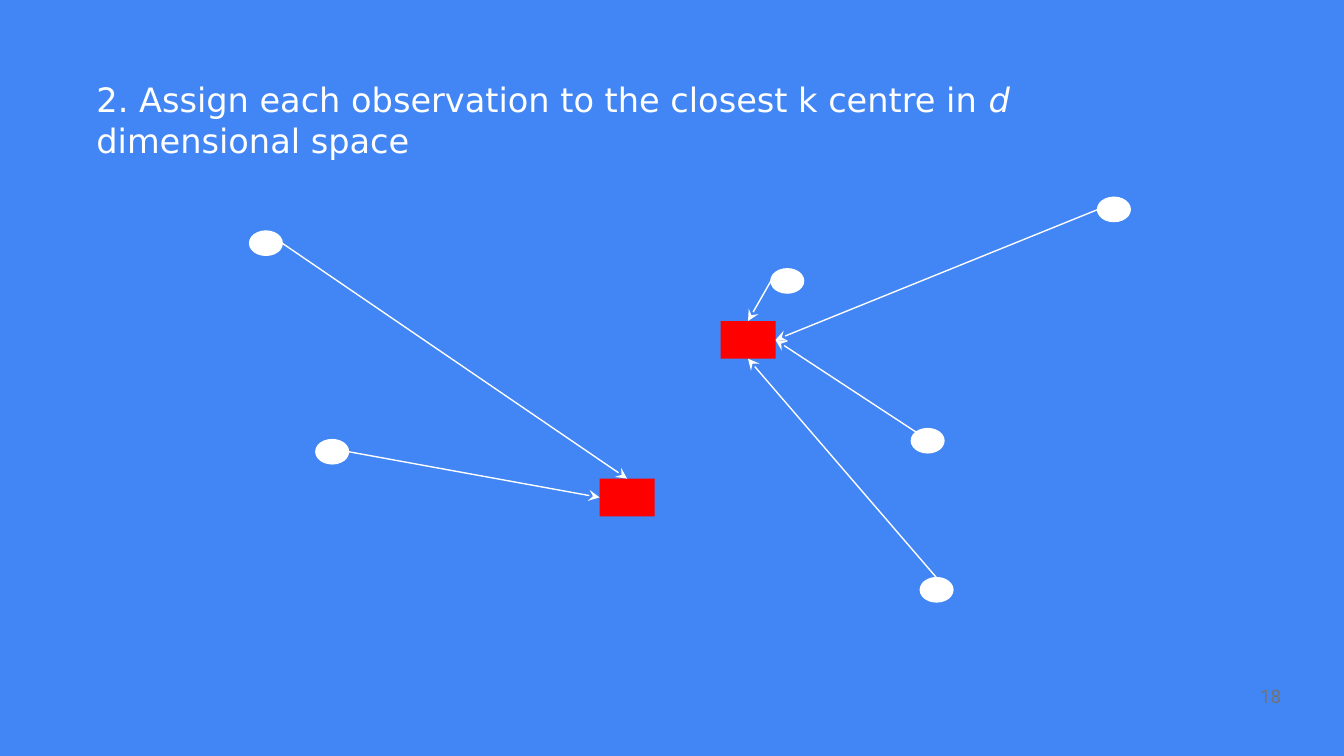
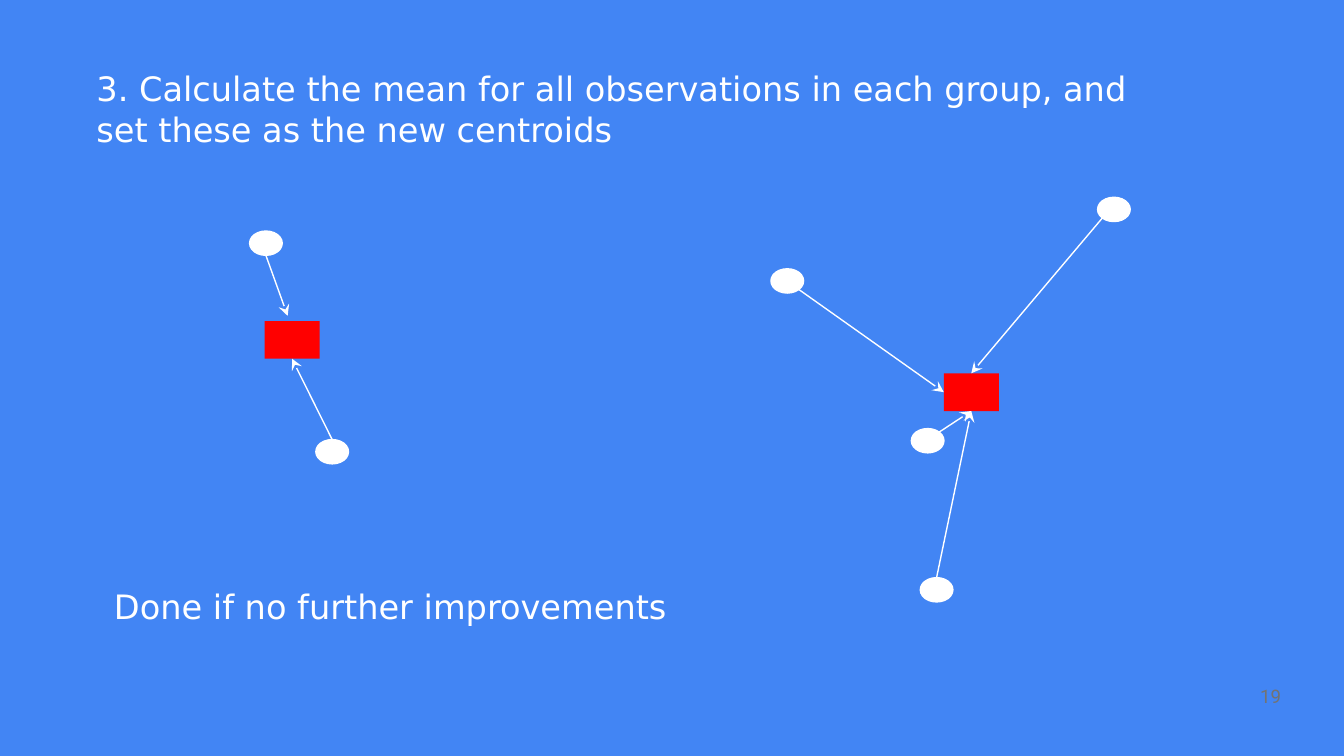
from dataclasses import dataclass

from lxml.etree import SubElement
from pptx import Presentation
from pptx.dml.color import RGBColor
from pptx.enum.shapes import MSO_CONNECTOR as Connector, MSO_SHAPE as Shape
from pptx.enum.text import MSO_ANCHOR as Anchor, PP_ALIGN as Align
from pptx.oxml.ns import qn
from pptx.util import Pt


@dataclass(frozen=True)
class Theme:
    background: RGBColor = RGBColor(0x42, 0x85, 0xF4)
    foreground: RGBColor = RGBColor(0xFF, 0xFF, 0xFF)
    centroid: RGBColor = RGBColor(0xFF, 0x00, 0x00)
    page_number: RGBColor = RGBColor(0x73, 0x73, 0x73)
    text_font: str = "DejaVu Sans"
    number_font: str = "Roboto"
    text_size: float = 18
    number_size: float = 10
    line_width: float = 0.75


THEME = Theme()
SLIDE_SIZE = (720, 405)
OBSERVATION_SIZE = (17.5, 13)
CENTROID_SIZE = (29.5, 20.2)
PAGE_NUMBER_BOX = (657.4, 360.7, 36, 21.6)

# Left and top of each observation; they stay put from step to step.
OBSERVATIONS = {
    "upper left": (133.7, 123.8),
    "lower left": (169.2, 235.5),
    "middle": (413, 144),
    "right": (488.2, 229.6),
    "upper right": (588, 105.7),
    "lower right": (493, 309.5),
}

# Where an arrow leaves an observation, as fractions of its width and height.
EXITS = {
    "top": (0.5, 0), "bottom": (0.5, 1), "right": (1, 0.5), "inner left": (0.2, 0.4),
    "top left": (0.15, 0.15), "top right": (0.85, 0.15),
    "bottom left": (0.15, 0.85), "bottom right": (0.85, 0.85),
}
SIDES = {"top": 0, "left": 1, "bottom": 2, "right": 3}

# Texts: (box, [(words, italic)]).
# Arrows: (observation, exit, centroid, side), or a point in place of the last two.
STEPS = [
    {
        "page": "18",
        "texts": [((44.6, 38.9, 595.4, 70.6), [
            ("2. Assign each observation to the closest k centre in ", False),
            ("d", True),
            (" dimensional space", False),
        ])],
        "centroids": {"A": (386, 172), "B": (321.2, 256.4)},
        "arrows": [
            ("upper left", "right", "B", "top"),
            ("middle", "top left", "A", "top"),
            ("upper right", "inner left", "A", "right"),
            ("lower left", "right", "B", "left"),
            ("right", "top left", "A", "right"),
            ("lower right", "top", "A", "bottom"),
        ],
    },
    {
        "page": "19",
        "texts": [
            ((44.6, 33, 595.4, 38.2), [
                ("3. Calculate the mean for all observations in each group, "
                 "and set these as the new centroids", False),
            ]),
            ((54, 310.3, 326.2, 21.6), [("Done if no further improvements", False)]),
        ],
        "centroids": {"A": (505.6, 200), "B": (141.7, 172)},
        "arrows": [
            ("upper left", "bottom", (154.1, 169.2)),
            ("lower left", "top", "B", "bottom"),
            ("middle", "bottom right", "A", "left"),
            ("right", "top right", "A", "bottom"),
            ("lower right", "top", "A", "bottom"),
            ("upper right", "bottom left", "A", "top"),
        ],
    },
]


def points(values):
    return [Pt(value) for value in values]


def add_text(slide, box, runs, font, size, color, align=Align.LEFT, anchor=Anchor.TOP):
    frame = slide.shapes.add_textbox(*points(box)).text_frame
    frame.word_wrap = True
    frame.vertical_anchor = anchor
    paragraph = frame.paragraphs[0]
    paragraph.alignment = align
    for words, italic in runs:
        run = paragraph.add_run()
        run.text = words
        run.font.name = font
        run.font.size = Pt(size)
        run.font.italic = italic
        run.font.color.rgb = color


def add_marker(slide, preset, position, size, color, outlined):
    shape = slide.shapes.add_shape(preset, *points(position + size))
    shape.shadow.inherit = False
    shape.fill.solid()
    shape.fill.fore_color.rgb = color
    if outlined:
        shape.line.color.rgb = color
        shape.line.width = Pt(THEME.line_width)
    else:
        shape.line.fill.background()
    return shape


def add_arrow(slide, centroids, observation, leaving, target, side=None):
    start = [corner + fraction * length for corner, fraction, length
             in zip(OBSERVATIONS[observation], EXITS[leaving], OBSERVATION_SIZE)]
    end = start if side else target
    connector = slide.shapes.add_connector(Connector.STRAIGHT, *points([*start, *end]))
    if side:
        connector.end_connect(centroids[target], SIDES[side])
    connector.line.color.rgb = THEME.foreground
    connector.line.width = Pt(THEME.line_width)
    SubElement(connector.line._get_or_add_ln(), qn("a:tailEnd"), type="stealth")
    SubElement(connector._element.spPr, qn("a:effectLst"))


def add_step(presentation, step):
    slide = presentation.slides.add_slide(presentation.slide_layouts[6])
    slide.background.fill.solid()
    slide.background.fill.fore_color.rgb = THEME.background
    add_text(slide, PAGE_NUMBER_BOX, [(step["page"], False)], THEME.number_font,
             THEME.number_size, THEME.page_number, Align.RIGHT, Anchor.BOTTOM)
    for position in OBSERVATIONS.values():
        add_marker(slide, Shape.OVAL, position, OBSERVATION_SIZE, THEME.foreground, True)
    for box, runs in step["texts"]:
        add_text(slide, box, runs, THEME.text_font, THEME.text_size, THEME.foreground)
    centroids = {
        name: add_marker(slide, Shape.RECTANGLE, position, CENTROID_SIZE, THEME.centroid, False)
        for name, position in step["centroids"].items()
    }
    for arrow in step["arrows"]:
        add_arrow(slide, centroids, *arrow)


def main():
    presentation = Presentation()
    presentation.slide_width, presentation.slide_height = points(SLIDE_SIZE)
    for step in STEPS:
        add_step(presentation, step)
    presentation.save("out.pptx")


if __name__ == "__main__":
    main()
